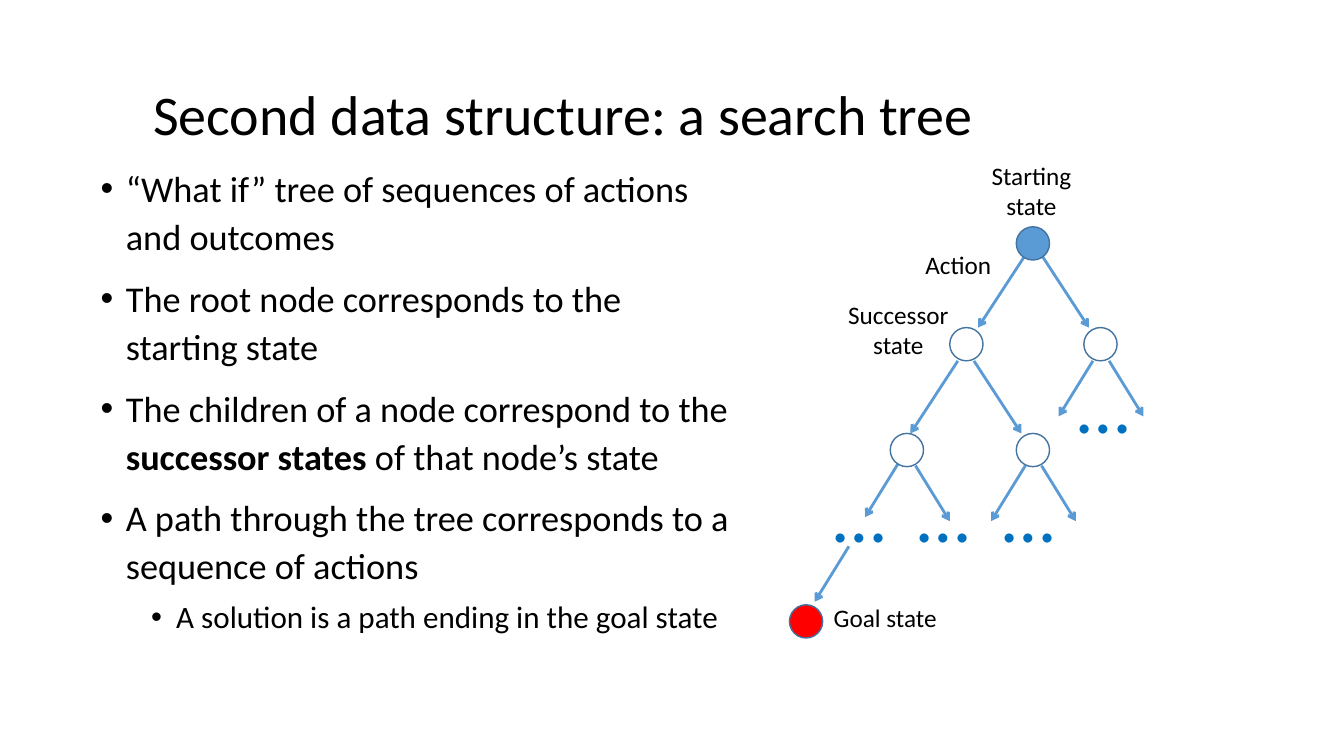
"""Build a slide that explains the search tree data structure."""
import lxml.etree
import pptx
import pptx.dml.color
import pptx.enum.shapes
import pptx.enum.text
import pptx.oxml.ns
import pptx.util
from pptx.util import Inches

BLACK = pptx.dml.color.RGBColor(0x00, 0x00, 0x00)
WHITE = pptx.dml.color.RGBColor(0xFF, 0xFF, 0xFF)
BLUE = pptx.dml.color.RGBColor(0x5B, 0x9B, 0xD5)
OUTLINE_BLUE = pptx.dml.color.RGBColor(0x43, 0x73, 0x9E)
DOTS_BLUE = pptx.dml.color.RGBColor(0x00, 0x70, 0xC0)
RED = pptx.dml.color.RGBColor(0xFF, 0x00, 0x00)
CENTER = pptx.enum.text.PP_ALIGN.CENTER
NODE_SIZE = 0.33

presentation = pptx.Presentation()
presentation.slide_width = Inches(13.33)
presentation.slide_height = Inches(7.5)
slide = presentation.slides.add_slide(presentation.slide_layouts[6])


def add_box(left, top, width, height, wrap=True):
    box = slide.shapes.add_textbox(Inches(left), Inches(top), Inches(width), Inches(height))
    box.text_frame.word_wrap = wrap
    return box.text_frame


def write(paragraph, text, size=18, color=BLACK, bold=False, align=None):
    paragraph.alignment = align
    run = paragraph.add_run()
    run.text = text
    run.font.name = "Calibri"
    run.font.size = pptx.util.Pt(size)
    run.font.bold = bold
    run.font.color.rgb = color


title_frame = add_box(0.92, 0.4, 11.5, 1.45)
title_frame.vertical_anchor = pptx.enum.text.MSO_ANCHOR.MIDDLE
title_frame.margin_left = Inches(0.6)
write(title_frame.paragraphs[0], "Second data structure: a search tree", size=40)

bullets = [
    (0, ["“What if” tree of sequences of actions and outcomes"]),
    (0, ["The root node corresponds to the starting state"]),
    (0, ["The children of a node correspond to the ", "successor states", " of that node’s state"]),
    (0, ["A path through the tree corresponds to a sequence of actions"]),
    (1, ["A solution is a path ending in the goal state"]),
]
body_frame = add_box(0.9, 1.56, 6.5, 5.11)
for index, (level, parts) in enumerate(bullets):
    paragraph = body_frame.add_paragraph() if index else body_frame.paragraphs[0]
    paragraph.level = level
    paragraph.line_spacing = 1.1
    paragraph.space_before = pptx.util.Pt(5 if level else 10)
    for part_index, part in enumerate(parts):
        write(paragraph, part, size=22.2 if level else 25.9, bold=part_index == 1)
    properties = paragraph._p.get_or_add_pPr()
    properties.set("marL", str(Inches(0.25 + 0.5 * level)))
    properties.set("indent", str(Inches(-0.25)))
    lxml.etree.SubElement(properties, pptx.oxml.ns.qn("a:buFont")).set("typeface", "Arial")
    lxml.etree.SubElement(properties, pptx.oxml.ns.qn("a:buChar")).set("char", "•")

for left, top in [(8.17, 4.58), (9, 4.58), (9.84, 4.58), (10.59, 3.5)]:
    dots_frame = add_box(left, top, 0.74, 1.01, wrap=False)
    write(dots_frame.paragraphs[0], "…", size=54, color=DOTS_BLUE)

labels = [
    ("Starting state", 9.63, 1.54, 1.2, 0.71, True),
    ("Successor state", 8.24, 2.92, 1.34, 0.71, True),
    ("Action", 9.08, 2.42, 0.89, 0.4, False),
    ("Goal state", 8.17, 5.93, 1.23, 0.4, False),
]
for text, left, top, width, height, wrap in labels:
    label_frame = add_box(left, top, width, height, wrap=wrap)
    write(label_frame.paragraphs[0], text, align=CENTER if wrap else None)

LEFT, RIGHT = -1, 1
LONG, SHORT = (0.47, 0.72), (0.34, 0.55)
arrows = [
    (10.25, 2.53, LEFT, LONG),
    (10.25, 2.53, RIGHT, LONG),
    (9.58, 3.58, LEFT, LONG),
    (9.58, 3.58, RIGHT, LONG),
    (10.92, 3.58, LEFT, SHORT),
    (10.92, 3.58, RIGHT, SHORT),
    (9, 4.58, LEFT, SHORT),
    (9, 4.62, RIGHT, SHORT),
    (10.25, 4.62, LEFT, SHORT),
    (10.25, 4.62, RIGHT, SHORT),
    (8.5, 5.42, LEFT, SHORT),
]
for center, top, side, (reach, drop) in arrows:
    start = center + side * 0.08
    arrow = slide.shapes.add_connector(
        pptx.enum.shapes.MSO_CONNECTOR.STRAIGHT,
        Inches(start), Inches(top), Inches(start + side * reach), Inches(top + drop))
    arrow.line.color.rgb = BLUE
    arrow.line.width = pptx.util.Pt(2)
    tail = lxml.etree.SubElement(arrow.line._get_or_add_ln(), pptx.oxml.ns.qn("a:tailEnd"))
    tail.set("type", "arrow")
    lxml.etree.SubElement(arrow._element.spPr, pptx.oxml.ns.qn("a:effectLst"))

nodes = [
    (10.08, 2.25, BLUE),
    (9.42, 3.25, WHITE),
    (10.75, 3.25, WHITE),
    (8.83, 4.3, WHITE),
    (10.08, 4.3, WHITE),
    (7.83, 6, RED),
]
for left, top, color in nodes:
    node = slide.shapes.add_shape(
        pptx.enum.shapes.MSO_SHAPE.OVAL,
        Inches(left), Inches(top), Inches(NODE_SIZE), Inches(NODE_SIZE))
    node.shadow.inherit = False
    node.fill.solid()
    node.fill.fore_color.rgb = color
    node.line.color.rgb = OUTLINE_BLUE
    node.line.width = pptx.util.Pt(1)

presentation.save("out.pptx")
